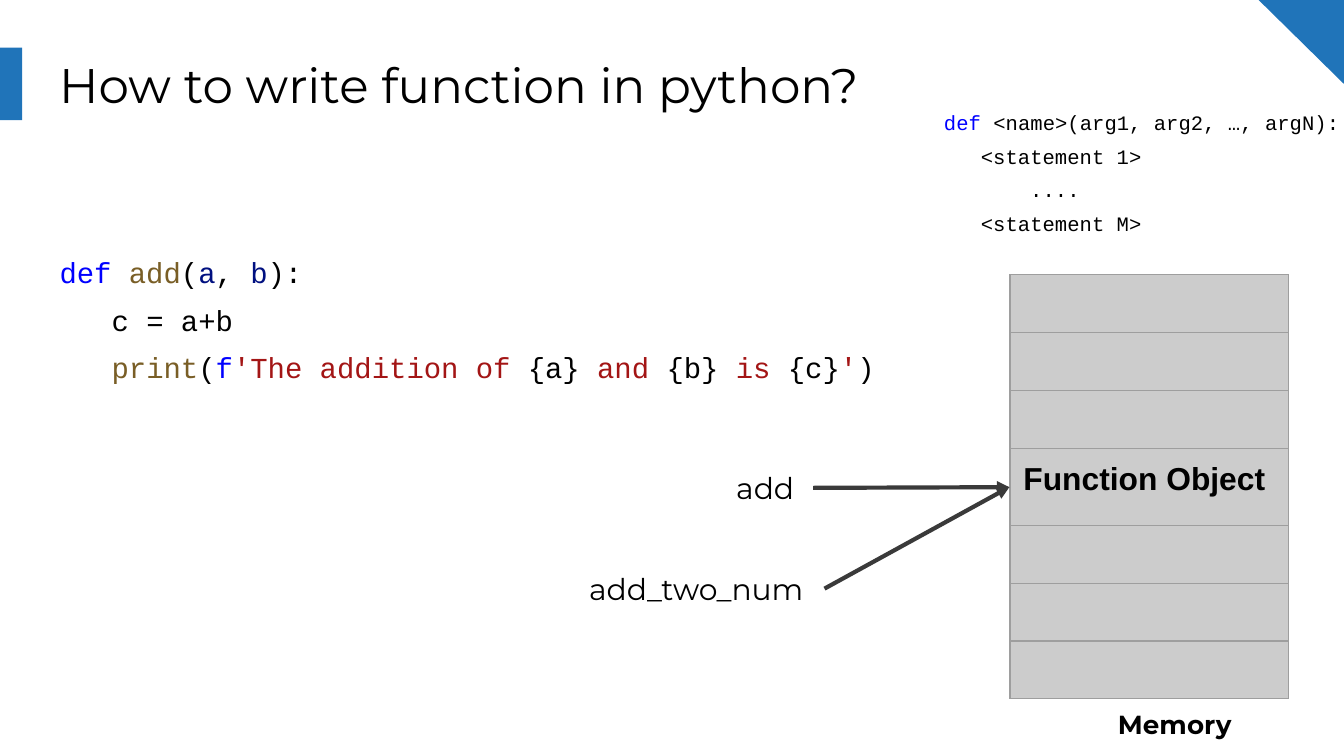
from dataclasses import dataclass

from lxml import etree
from pptx import Presentation, util as u
from pptx.dml.color import RGBColor
from pptx.enum import shapes, text
from pptx.oxml.ns import qn

PX = 4572  # EMU in one px, 200 px to the inch
MARGIN = 20


@dataclass(frozen=True)
class Theme:
    accent: str = "2074B9"
    ink: str = "000000"
    arrow: str = "3A3A3A"
    cell: str = "CCCCCC"
    border: str = "9E9E9E"
    keyword: str = "0000FF"
    function: str = "795E26"
    argument: str = "001080"
    string: str = "A31515"
    heading_font: str = "Montserrat"
    code_font: str = "Courier New"
    cell_font: str = "Arial"
    title_size: float = 26
    example_size: float = 15.5
    syntax_size: float = 11
    label_size: float = 16
    caption_size: float = 14
    cell_size: float = 17
    code_spacing: float = 1.36
    border_width: float = 0.75
    arrow_width: float = 2.25


T = Theme()

# Each code line is (indent in characters, [(text, colour), ...]).
SYNTAX = [
    (0, [("def", T.keyword), (" <name>(arg1, arg2, …, argN):", T.ink)]),
    (3, [("<statement 1>", T.ink)]),
    (7, [("....", T.ink)]),
    (3, [("<statement M>", T.ink)]),
]
EXAMPLE = [
    (0, [("def", T.keyword), (" ", T.ink), ("add", T.function), ("(", T.ink),
         ("a", T.argument), (", ", T.ink), ("b", T.argument), ("):", T.ink)]),
    (3, [("c = a+b", T.ink)]),
    (3, [("print", T.function), ("(", T.ink), ("f", T.keyword),
         ("'The addition of ", T.string), ("{a}", T.ink), (" and ", T.string),
         ("{b}", T.ink), (" is ", T.string), ("{c}", T.ink),
         ("'", T.string), (")", T.ink)]),
]


def emu(*lengths):
    return [u.Emu(length * PX) for length in lengths]


def rgb(colour):
    return RGBColor.from_string(colour)


def add_run(paragraph, words, font, size, colour=T.ink, bold=False):
    run = paragraph.add_run()
    run.text = words
    run.font.name = font
    run.font.size = u.Pt(size)
    run.font.bold = bold
    run.font.color.rgb = rgb(colour)


def set_margins(holder):
    """Give a text frame or a table cell the same margin on every side."""
    for side in ("left", "right", "top", "bottom"):
        setattr(holder, f"margin_{side}", u.Emu(MARGIN * PX))


def add_text_frame(slide, box):
    frame = slide.shapes.add_textbox(*emu(*box)).text_frame
    frame.word_wrap = True
    set_margins(frame)
    return frame


def add_decoration(slide, kind, box, rotation=0):
    shape = slide.shapes.add_shape(kind, *emu(*box))
    shape.rotation = rotation
    shape.shadow.inherit = False
    shape.fill.solid()
    shape.fill.fore_color.rgb = rgb(T.accent)
    shape.line.fill.background()


def place_title(slide, box, words):
    title = slide.shapes.title
    title.left, title.top, title.width, title.height = emu(*box)
    frame = title.text_frame
    frame.word_wrap = True
    frame.auto_size = text.MSO_AUTO_SIZE.NONE
    frame.vertical_anchor = text.MSO_ANCHOR.MIDDLE
    set_margins(frame)
    heading = frame.paragraphs[0]
    heading.alignment = text.PP_ALIGN.LEFT
    add_run(heading, words, T.heading_font, T.title_size)


def add_code(slide, box, lines, size):
    frame = add_text_frame(slide, box)
    character = 0.6 * size  # advance of the monospaced font
    for number, (indent, runs) in enumerate(lines):
        line = frame.add_paragraph() if number else frame.paragraphs[0]
        line.line_spacing = T.code_spacing
        line._p.get_or_add_pPr().set("marL", str(u.Pt(indent * character)))
        for words, colour in runs:
            add_run(line, words, T.code_font, size, colour)


def add_label(slide, box, words, size, bold=False):
    paragraph = add_text_frame(slide, box).paragraphs[0]
    add_run(paragraph, words, T.heading_font, size, bold=bold)


def add_borders(cell):
    properties = cell._tc.get_or_add_tcPr()
    for position, side in enumerate(("lnL", "lnR", "lnT", "lnB")):
        line = etree.Element(qn(f"a:{side}"), w=str(u.Pt(T.border_width)))
        fill = etree.SubElement(line, qn("a:solidFill"))
        etree.SubElement(fill, qn("a:srgbClr"), val=T.border)
        properties.insert(position, line)


def add_memory(slide, box, row_heights, object_row):
    """Draw the memory cells, with the function object in one of them."""
    table = slide.shapes.add_table(len(row_heights), 1, *emu(*box)).table
    table.first_row = table.horz_banding = False
    for number, height in enumerate(row_heights):
        table.rows[number].height = u.Emu(height * PX)
        cell = table.cell(number, 0)
        cell.fill.solid()
        cell.fill.fore_color.rgb = rgb(T.cell)
        add_borders(cell)
    object_cell = table.cell(object_row, 0)
    set_margins(object_cell)
    add_run(object_cell.text_frame.paragraphs[0], "Function Object",
            T.cell_font, T.cell_size, bold=True)


def add_reference(slide, box, name, target):
    """Write a name and point an arrow from its right edge at the target."""
    left, top, width, height = box
    add_label(slide, box, name, T.label_size)
    arrow = slide.shapes.add_connector(
        shapes.MSO_CONNECTOR.STRAIGHT,
        *emu(left + width, top + height // 2, *target))
    arrow.line.color.rgb = rgb(T.arrow)
    arrow.line.width = u.Pt(T.arrow_width)
    etree.SubElement(arrow.line._get_or_add_ln(), qn("a:tailEnd"), type="triangle")
    etree.SubElement(arrow._element.spPr, qn("a:effectLst"))


def add_memory_diagram(slide, box):
    left, top, width, height = box
    rows, object_row = [86, 86, 86, 115, 86, 86, 86], 3
    add_memory(slide, (left, top, width, sum(rows)), rows, object_row)
    add_label(slide, (left + 141, top + 625, 292, 88), "Memory",
              T.caption_size, bold=True)
    target = (left - 1, top + sum(rows[:object_row]) + rows[object_row] // 2 + 1)
    add_reference(slide, (left - 427, top + 270, 134, 94), "add", target)
    add_reference(slide, (left - 646, top + 420, 370, 94), "add_two_num", target)


def build_function_slide(presentation):
    slide = presentation.slides.add_slide(presentation.slide_layouts[5])
    add_decoration(slide, shapes.MSO_SHAPE.RECTANGLE, (0, 71, 33, 108))
    add_decoration(slide, shapes.MSO_SHAPE.RIGHT_TRIANGLE, (1873, 0, 128, 126), 180)
    place_title(slide, (68, 62, 1864, 126), "How to write function in python?")
    add_code(slide, (69, 341, 1332, 260), EXAMPLE, T.example_size)
    add_memory_diagram(slide, (1503, 409, 414, 713))
    add_code(slide, (1385, 131, 650, 234), SYNTAX, T.syntax_size)


def main():
    presentation = Presentation()
    presentation.slide_width, presentation.slide_height = emu(2000, 1125)
    build_function_slide(presentation)
    presentation.save("out.pptx")


if __name__ == "__main__":
    main()
